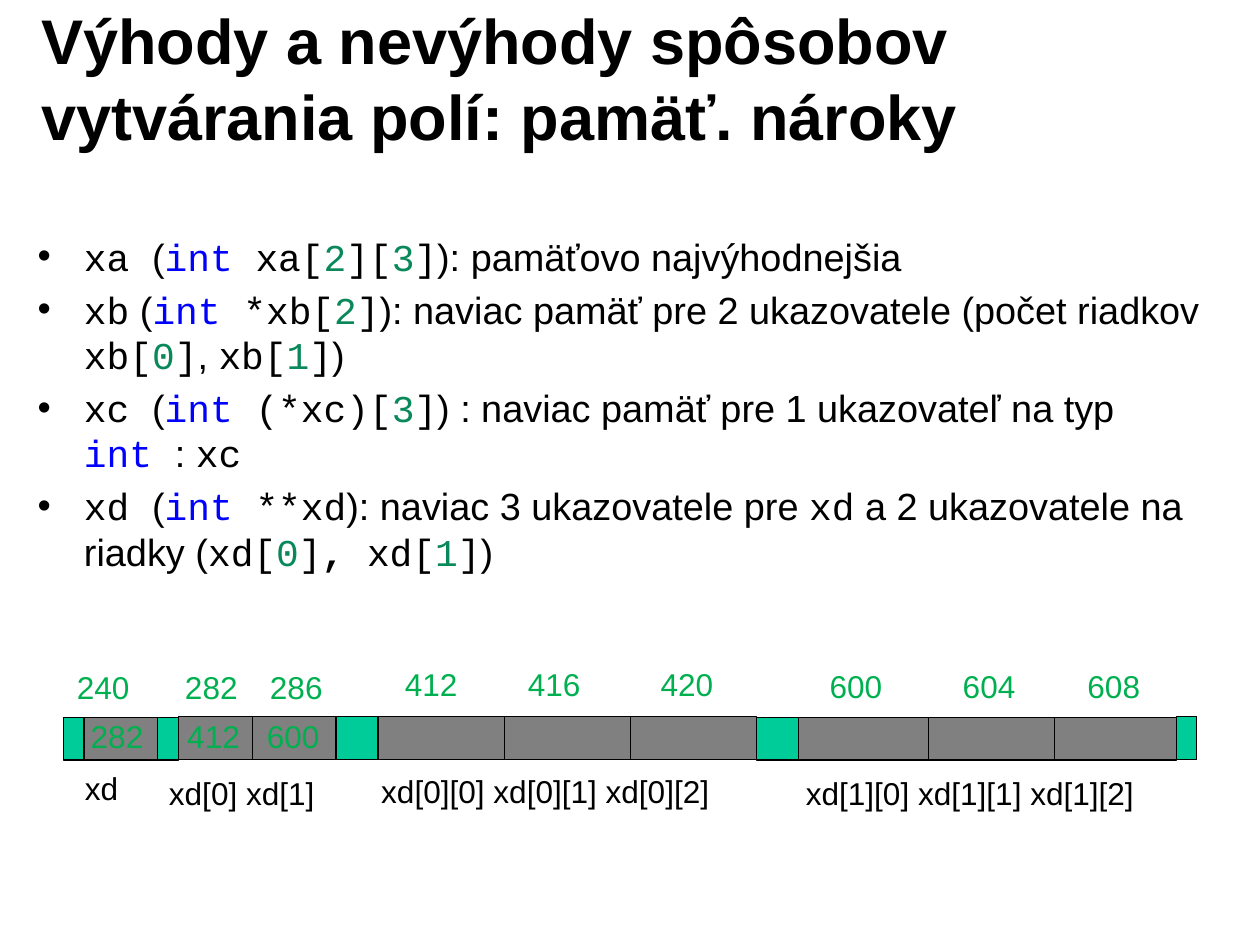
"""Build a slide on the memory cost of four ways to create a 2D array."""
from dataclasses import dataclass

from lxml import etree
from pptx import Presentation
from pptx.dml.color import RGBColor
from pptx.enum.shapes import MSO_CONNECTOR, MSO_SHAPE
from pptx.enum.text import MSO_ANCHOR, MSO_AUTO_SIZE
from pptx.oxml.ns import qn
from pptx.slide import Slide
from pptx.text.text import TextFrame, _Paragraph
from pptx.util import Cm, Pt

RECTANGLE = MSO_SHAPE.RECTANGLE
STRAIGHT = MSO_CONNECTOR.STRAIGHT
MIDDLE = MSO_ANCHOR.MIDDLE
FIT_SHAPE = MSO_AUTO_SIZE.SHAPE_TO_FIT_TEXT
COLORS = {
    "black": "000000",
    "keyword": "0000FF",
    "number": "09885A",
    "address": "00B050",
    "used": "808080",
    "free": "00CC99",
}


@dataclass(frozen=True)
class Style:
    font: str = "Arial"
    size: int = 24
    color: str = "black"
    bold: bool = False


@dataclass(frozen=True)
class Block:
    width: float
    fill: str
    top: float
    dividers: tuple[float, ...] = ()


@dataclass(frozen=True)
class LabelRow:
    top: float
    width: float
    color: str
    labels: tuple[tuple[str, float], ...]


PLAIN = Style()
CODE = Style(font="Courier New")
KEYWORD = Style(font="Courier New", color="keyword")
NUMBER = Style(font="Courier New", color="number")
BOLD_CODE = Style(font="Courier New", bold=True)
TITLE = Style(size=40, bold=True)

Run = tuple[str, Style]


def element(name: str, index: str) -> list[Run]:
    return [(f"{name}[", CODE), (index, NUMBER), ("]", CODE)]


BULLETS: list[list[Run]] = [
    [("xa ", CODE), ("(", PLAIN), ("int ", KEYWORD), *element("xa", "2")[:2],
     ("][", CODE), ("3", NUMBER), ("]", CODE),
     ("): pamäťovo najvýhodnejšia", PLAIN)],
    [("xb", CODE), (" (", PLAIN), ("int ", KEYWORD), *element("*xb", "2"),
     ("): naviac pamäť pre 2 ukazovatele (počet riadkov ", PLAIN),
     *element("xb", "0"), (", ", PLAIN), *element("xb", "1"), (")", PLAIN)],
    [("xc ", CODE), ("(", PLAIN), ("int ", KEYWORD), *element("(*xc)", "3"),
     (") : naviac pamäť pre 1 ukazovateľ na typ ", PLAIN),
     ("int ", KEYWORD), (": ", PLAIN), ("xc", CODE)],
    [("xd ", CODE), ("(", PLAIN), ("int ", KEYWORD), ("**xd", CODE),
     ("): naviac 3 ukazovatele pre ", PLAIN), ("xd", CODE),
     (" a 2 ukazovatele na riadky (", PLAIN),
     *element("xd", "0"), (", ", BOLD_CODE), *element("xd", "1"), (")", PLAIN)],
]

MEMORY_LEFT = 1.42
MEMORY_HEIGHT = 0.96
BLOCKS = [
    Block(0.46, "free", 16.05),
    Block(1.65, "used", 16.05),
    Block(0.46, "free", 16.05),
    Block(3.53, "used", 16.03, (1.65,)),
    Block(0.94, "free", 16.03),
    Block(8.46, "used", 16.03, (2.82, 5.64)),
    Block(0.94, "free", 16.05),
    Block(8.46, "used", 16.05, (2.92, 5.74)),
    Block(0.46, "free", 16.03),
]

LABEL_ROWS = [
    LabelRow(14.82, 1.7, "address", (("240", 1.47), ("282", 3.89), ("286", 5.79))),
    LabelRow(14.76, 1.7, "address", (("412", 8.81), ("416", 11.56), ("420", 14.53))),
    LabelRow(14.79, 1.7, "address", (("600", 18.31), ("604", 21.29), ("608", 24.08))),
    LabelRow(15.93, 1.7, "address", (("282", 1.78), ("412", 3.94), ("600", 5.72))),
    LabelRow(17.09, 1.27, "black", (("xd", 1.65),)),
    LabelRow(17.2, 3.78, "black", (("xd[0] xd[1]", 3.53),)),
    LabelRow(17.15, 7.9, "black", (("xd[0][0] xd[0][1] xd[0][2]", 8.28),)),
    LabelRow(17.2, 7.9, "black", (("xd[1][0] xd[1][1] xd[1][2]", 17.78),)),
]


def rgb(color: str) -> RGBColor:
    return RGBColor.from_string(COLORS[color])


def add_text_box(slide: Slide, left: float, top: float, width: float,
                 height: float, wrap: bool = True) -> TextFrame:
    shape = slide.shapes.add_textbox(Cm(left), Cm(top), Cm(width), Cm(height))
    frame = shape.text_frame
    frame.word_wrap = wrap
    if wrap:
        frame.margin_left = frame.margin_right = Cm(0.28)
        frame.margin_top = frame.margin_bottom = Cm(0.14)
    else:
        frame.auto_size = FIT_SHAPE
    return frame


def add_run(paragraph: _Paragraph, text: str, style: Style) -> None:
    run = paragraph.add_run()
    run.text = text
    run.font.name = style.font
    run.font.size = Pt(style.size)
    run.font.bold = style.bold
    run.font.color.rgb = rgb(style.color)


def add_bullet(paragraph: _Paragraph) -> None:
    properties = paragraph._p.get_or_add_pPr()
    properties.set("marL", str(Cm(1.04)))
    properties.set("indent", str(Cm(-1.04)))
    etree.SubElement(properties, qn("a:buFont")).set("typeface", "Arial")
    etree.SubElement(properties, qn("a:buChar")).set("char", "•")


def draw_bullets(slide: Slide) -> None:
    frame = add_text_box(slide, 0.56, 5.08, 27.08, 10.36)
    for index, runs in enumerate(BULLETS):
        paragraph = frame.add_paragraph() if index else frame.paragraphs[0]
        add_bullet(paragraph)
        paragraph.space_before = Pt(4.8 if index else 0)
        for text, style in runs:
            add_run(paragraph, text, style)


def draw_divider(slide: Slide, left: float, top: float) -> None:
    connector = slide.shapes.add_connector(
        STRAIGHT, Cm(left), Cm(top), Cm(left), Cm(top + MEMORY_HEIGHT))
    connector.line.color.rgb = rgb("black")
    connector.line.width = Pt(0.75)
    etree.SubElement(connector._element.spPr, qn("a:effectLst"))


def draw_memory(slide: Slide) -> None:
    left = MEMORY_LEFT
    for block in BLOCKS:
        shape = slide.shapes.add_shape(
            RECTANGLE, Cm(left), Cm(block.top), Cm(block.width), Cm(MEMORY_HEIGHT))
        shape.shadow.inherit = False
        shape.fill.solid()
        shape.fill.fore_color.rgb = rgb(block.fill)
        shape.line.color.rgb = rgb("black")
        shape.line.width = Pt(0.75)
        for offset in block.dividers:
            draw_divider(slide, left + offset, block.top)
        left += block.width


def draw_labels(slide: Slide, row: LabelRow) -> None:
    for text, left in row.labels:
        frame = add_text_box(slide, left, row.top, row.width, 1.12, wrap=False)
        add_run(frame.paragraphs[0], text, Style(size=20, color=row.color))


def main() -> None:
    presentation = Presentation()
    presentation.slide_width = Cm(28.19)
    presentation.slide_height = Cm(21.08)
    slide = presentation.slides.add_slide(presentation.slide_layouts[6])
    title = add_text_box(slide, 0.64, 0.43, 22.63, 2.59)
    title.vertical_anchor = MIDDLE
    add_run(title.paragraphs[0],
            "Výhody a nevýhody spôsobov vytvárania polí: pamäť. nároky", TITLE)
    draw_bullets(slide)
    draw_memory(slide)
    for row in LABEL_ROWS:
        draw_labels(slide, row)
    presentation.save("out.pptx")


if __name__ == "__main__":
    main()
